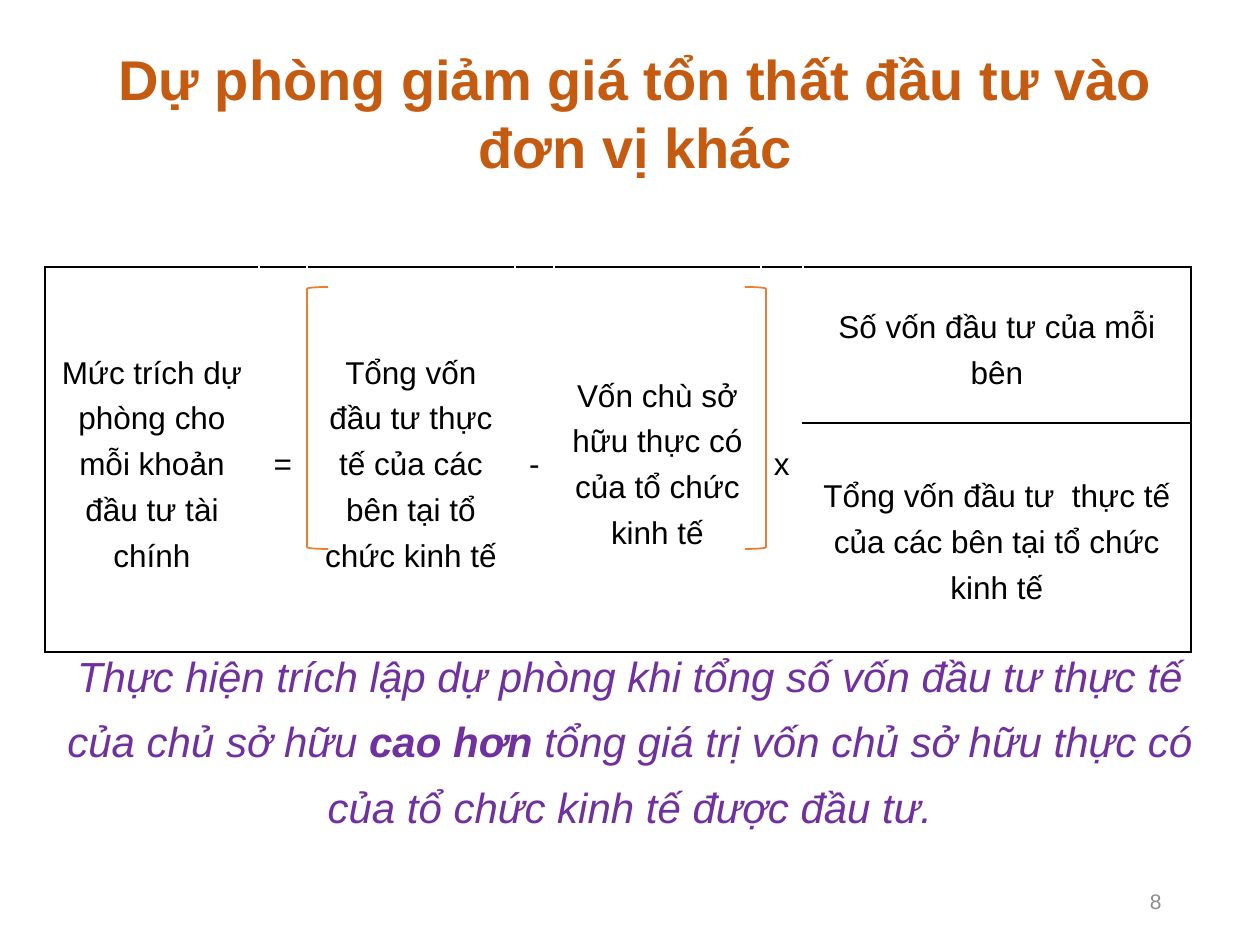
from dataclasses import dataclass

from lxml import etree
from pptx import Presentation
from pptx import util as u
from pptx.dml.color import RGBColor
from pptx.enum import shapes, text
from pptx.oxml.ns import qn

PX = 914400 / 126
CENTER = text.PP_ALIGN.CENTER
MIDDLE = text.MSO_ANCHOR.MIDDLE


@dataclass(frozen=True)
class Theme:
    font: str = "Arial"
    title: str = "C55A11"
    ink: str = "000000"
    grid: str = "FFFFFF"
    bracket: str = "ED7D31"
    note: str = "7030A0"
    number: str = "8C8C8C"
    title_size: int = 32
    cell_size: int = 18
    note_size: int = 24
    number_size: int = 12


THEME = Theme()

COLUMNS = [214, 48, 208, 39, 207, 42, 388]
ROWS = [156, 147]
FORMULA = [
    "Mức trích dự phòng cho mỗi khoản đầu tư tài chính",
    "=",
    "Tổng vốn đầu tư thực tế của các bên tại tổ chức kinh tế",
    "-",
    "Vốn chù sở hữu thực có của tổ chức\nkinh tế",
    "x",
]
FRACTION = [
    "Số vốn đầu tư của mỗi bên",
    "Tổng vốn đầu tư  thực tế của các bên tại tổ chức kinh tế",
]
NOTE = [
    ("Thực hiện trích lập dự phòng khi tổng số vốn đầu tư thực tế của chủ sở hữu ", False),
    ("cao hơn ", True),
    ("tổng giá trị vốn chủ sở hữu thực có của tổ chức kinh tế được đầu tư.", False),
]


def px(n):
    return u.Emu(round(n * PX))


def place(sp, left, top, width, height):
    sp.left, sp.top, sp.width, sp.height = map(px, (left, top, width, height))


def add_run(p, content, size, color, bold=False, italic=False):
    r = p.add_run()
    r.text = content
    r.font.name = THEME.font
    r.font.size = u.Pt(size)
    r.font.bold = bold
    r.font.italic = italic
    r.font.color.rgb = RGBColor.from_string(color)


def format_paragraph(p, align, spacing=1.0):
    p.alignment = align
    p.line_spacing = spacing
    p.space_before = u.Pt(0)


def fill_title(sp):
    place(sp, 68, 37, 1135, 150)
    tf = sp.text_frame
    tf.auto_size = text.MSO_AUTO_SIZE.NONE
    tf.vertical_anchor = MIDDLE
    p = tf.paragraphs[0]
    format_paragraph(p, CENTER)
    add_run(p, "Dự phòng giảm giá tổn thất đầu tư vào đơn vị khác",
            THEME.title_size, THEME.title, bold=True)


def fill_note(sp):
    place(sp, 43, 629, 1174, 247)
    tf = sp.text_frame
    tf.auto_size = text.MSO_AUTO_SIZE.NONE
    p = tf.paragraphs[0]
    format_paragraph(p, CENTER, 1.3)
    pPr = p._p.get_or_add_pPr()
    pPr.set("marL", "0")
    pPr.set("indent", "0")
    etree.SubElement(pPr, qn("a:buNone"))
    for content, bold in NOTE:
        add_run(p, content, THEME.note_size, THEME.note, bold, italic=True)


def set_borders(cell, colors):
    """Draw 1 pt borders; colors maps L, R, T, B (in that order) to a colour."""
    tcPr = cell._tc.get_or_add_tcPr()
    for side, color in colors.items():
        ln = etree.SubElement(tcPr, qn(f"a:ln{side}"), w=str(u.Pt(1)))
        fill = etree.SubElement(ln, qn("a:solidFill"))
        etree.SubElement(fill, qn("a:srgbClr"), val=color)


def write_cell(cell, content):
    cell.vertical_anchor = MIDDLE
    cell.margin_left = cell.margin_right = px(9)
    cell.margin_top = cell.margin_bottom = 0
    tf = cell.text_frame
    for i, line in enumerate(content.split("\n")):
        p = tf.add_paragraph() if i else tf.paragraphs[0]
        format_paragraph(p, CENTER, 1.3)
        add_run(p, line, THEME.cell_size, THEME.ink)


def add_formula_table(slide):
    frame = slide.shapes.add_table(len(ROWS), len(COLUMNS), px(45), px(267),
                                   px(sum(COLUMNS)), px(sum(ROWS)))
    table = frame.table
    table.first_row = table.horz_banding = False
    for column, width in zip(table.columns, COLUMNS):
        column.width = px(width)
    for row, height in zip(table.rows, ROWS):
        row.height = px(height)

    last = len(COLUMNS) - 1
    for c, content in enumerate(FORMULA):
        table.cell(0, c).merge(table.cell(1, c))
        write_cell(table.cell(0, c), content)
    for r, content in enumerate(FRACTION):
        write_cell(table.cell(r, last), content)

    for r in range(len(ROWS)):
        for c in range(len(COLUMNS)):
            cell = table.cell(r, c)
            colors = {"L": THEME.grid if c else THEME.ink,
                      "R": THEME.ink if c == last else THEME.grid}
            if not cell.is_spanned:
                colors["T"] = THEME.ink
            colors["B"] = THEME.ink
            set_borders(cell, colors)
            cell.fill.background()


def add_bracket(slide, left, flip=False):
    sp = slide.shapes.add_shape(shapes.MSO_SHAPE.LEFT_BRACKET,
                                px(left), px(287), px(21), px(262))
    sp.shadow.inherit = False
    sp.fill.background()
    sp.line.color.rgb = RGBColor.from_string(THEME.bracket)
    sp.line.width = u.Pt(1)
    if flip:
        sp._element.spPr.find(qn("a:xfrm")).set("flipH", "1")


def add_slide_number(slide):
    tf = slide.shapes.add_textbox(px(890), px(876), px(284), px(50)).text_frame
    tf.word_wrap = True
    tf.vertical_anchor = MIDDLE
    p = tf.paragraphs[0]
    format_paragraph(p, text.PP_ALIGN.RIGHT)
    add_run(p, "8", THEME.number_size, THEME.number)


def main():
    prs = Presentation()
    prs.slide_width, prs.slide_height = u.Inches(10), u.Inches(7.5)
    slide = prs.slides.add_slide(prs.slide_layouts[1])
    fill_title(slide.shapes.title)
    add_formula_table(slide)
    add_bracket(slide, 307)
    add_bracket(slide, 745, flip=True)
    fill_note(slide.placeholders[1])
    add_slide_number(slide)
    prs.save("out.pptx")


if __name__ == "__main__":
    main()
